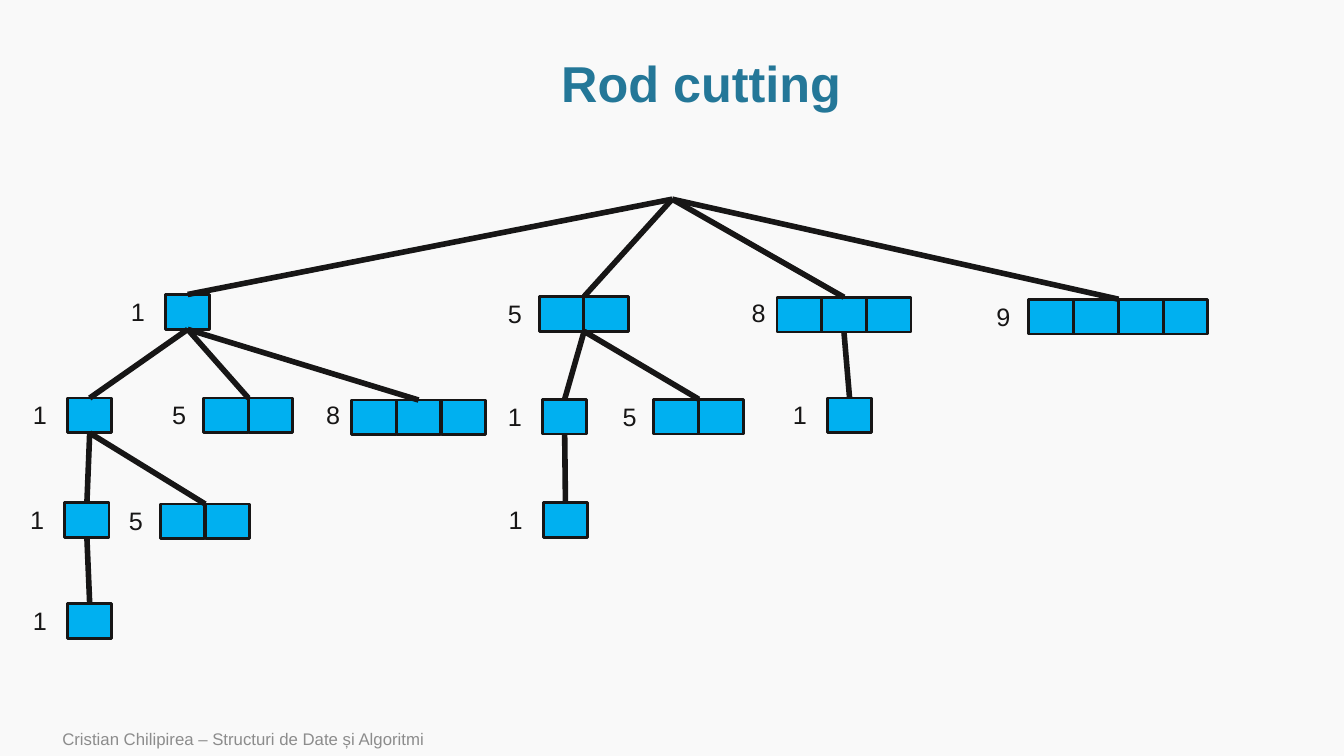
from dataclasses import dataclass
from typing import Any

from lxml import etree
from pptx import Presentation
from pptx import util as u
from pptx.dml.color import RGBColor
from pptx.enum import shapes, text
from pptx.oxml.ns import qn


@dataclass(frozen=True)
class Theme:
    font: str = "Arial"
    background: str = "F9F9F9"
    title: str = "247798"
    ink: str = "171616"
    rod: str = "00B0F0"
    muted: str = "8C8C8C"
    title_size: int = 36
    price_size: int = 18
    footer_size: int = 12
    cell_line: int = 2
    branch_line: int = 4


@dataclass(frozen=True)
class Price:
    value: int
    gap: float
    rise: float


@dataclass(frozen=True)
class Rod:
    length: int
    left: float
    top: float
    rests: tuple["Rod", ...] = ()


@dataclass(frozen=True)
class Joint:
    x: float
    y: float
    cell: Any = None


THEME = Theme()
CELL_PITCH, CELL_WIDTH, CELL_HEIGHT = 1.13, 1.12, 0.88
PRICES = {
    1: Price(1, 1.12, 0.08),
    2: Price(5, 1.04, 0.08),
    3: Price(8, 0.89, 0.13),
    4: Price(9, 1.07, 0.08),
}
APEX = Joint(16.94, 5.02)
RODS = (
    Rod(1, 4.17, 7.42, (
        Rod(1, 1.7, 10.03, (
            Rod(1, 1.63, 12.67, (Rod(1, 1.7, 15.21),)),
            Rod(2, 4.04, 12.7),
        )),
        Rod(2, 5.13, 10.03),
        Rod(3, 8.86, 10.08),
    )),
    Rod(2, 13.59, 7.47, (
        Rod(1, 13.67, 10.06, (Rod(1, 13.69, 12.67),)),
        Rod(2, 16.48, 10.06),
    )),
    Rod(3, 19.58, 7.49, (Rod(1, 20.85, 10.03),)),
    Rod(4, 25.93, 7.54),
)


def apply(target: Any, values: dict[str, Any]) -> None:
    for name, value in values.items():
        setattr(target, name, value)


def write(box: Any, words: str, size: int, colour: str, bold: bool = False) -> Any:
    para = box.text_frame.paragraphs[0]
    span = para.add_run()
    span.text = words
    apply(span.font, {"name": THEME.font, "size": u.Pt(size), "bold": bold})
    span.font.color.rgb = RGBColor.from_string(colour)
    return para


def draw_line_style(line: Any, width: int) -> None:
    line.color.rgb = RGBColor.from_string(THEME.ink)
    line.width = u.Pt(width)


def draw_cell(page: Any, left: float, top: float) -> Any:
    cell = page.shapes.add_shape(
        shapes.MSO_SHAPE.RECTANGLE,
        u.Cm(left), u.Cm(top), u.Cm(CELL_WIDTH), u.Cm(CELL_HEIGHT),
    )
    cell.shadow.inherit = False
    cell.fill.solid()
    cell.fill.fore_color.rgb = RGBColor.from_string(THEME.rod)
    draw_line_style(cell.line, THEME.cell_line)
    return cell


def draw_price(page: Any, rod: Rod) -> None:
    price = PRICES[rod.length]
    box = page.shapes.add_textbox(
        u.Cm(rod.left - price.gap), u.Cm(rod.top - price.rise), u.Cm(0.86), u.Cm(1.02)
    )
    apply(box.text_frame, {
        "word_wrap": False,
        "auto_size": text.MSO_AUTO_SIZE.SHAPE_TO_FIT_TEXT,
    })
    write(box, str(price.value), THEME.price_size, THEME.ink)


def draw_branch(page: Any, start: Joint, end: Joint) -> None:
    branch = page.shapes.add_connector(
        shapes.MSO_CONNECTOR.STRAIGHT,
        u.Cm(start.x), u.Cm(start.y), u.Cm(end.x), u.Cm(end.y),
    )
    if start.cell is not None:
        branch.begin_connect(start.cell, 2)
    if end.cell is not None:
        branch.end_connect(end.cell, 0)
    draw_line_style(branch.line, THEME.branch_line)
    etree.SubElement(branch._element.spPr, qn("a:effectLst"))


def draw_rod(page: Any, rod: Rod) -> Joint:
    cells = [
        draw_cell(page, rod.left + index * CELL_PITCH, rod.top)
        for index in range(rod.length)
    ]
    draw_price(page, rod)
    middle = rod.left + rod.length * CELL_PITCH / 2
    joined = cells[rod.length // 2] if rod.length % 2 else None
    draw_rests(page, Joint(middle, rod.top + CELL_HEIGHT, joined), rod.rests)
    return Joint(middle, rod.top, joined)


def draw_rests(page: Any, start: Joint, rests: tuple[Rod, ...]) -> None:
    ends = [draw_rod(page, rod) for rod in rests]
    for end in ends:
        draw_branch(page, start, end)


def draw_title(page: Any) -> None:
    title = page.shapes.title
    apply(title, {
        "left": u.Cm(2.9), "top": u.Cm(1.3),
        "width": u.Cm(29.54), "height": u.Cm(1.75),
    })
    apply(title.text_frame, {
        "word_wrap": True,
        "auto_size": text.MSO_AUTO_SIZE.NONE,
        "vertical_anchor": text.MSO_ANCHOR.MIDDLE,
    })
    para = write(title, "Rod cutting", THEME.title_size, THEME.title, True)
    apply(para, {"alignment": text.PP_ALIGN.CENTER, "line_spacing": 0.9})


def draw_footer(page: Any) -> None:
    box = page.shapes.add_textbox(u.Cm(1.32), u.Cm(18.19), u.Cm(21.34), u.Cm(0.86))
    apply(box.text_frame, {
        "word_wrap": True,
        "vertical_anchor": text.MSO_ANCHOR.MIDDLE,
    })
    write(box, "Cristian Chilipirea – Structuri de Date și Algoritmi",
          THEME.footer_size, THEME.muted)


def main() -> None:
    deck = Presentation()
    apply(deck, {"slide_width": u.Cm(33.87), "slide_height": u.Cm(19.05)})
    page = deck.slides.add_slide(deck.slide_layouts[5])
    page.background.fill.solid()
    page.background.fill.fore_color.rgb = RGBColor.from_string(THEME.background)
    draw_footer(page)
    draw_title(page)
    draw_rests(page, APEX, RODS)
    deck.save("out.pptx")


if __name__ == "__main__":
    main()
